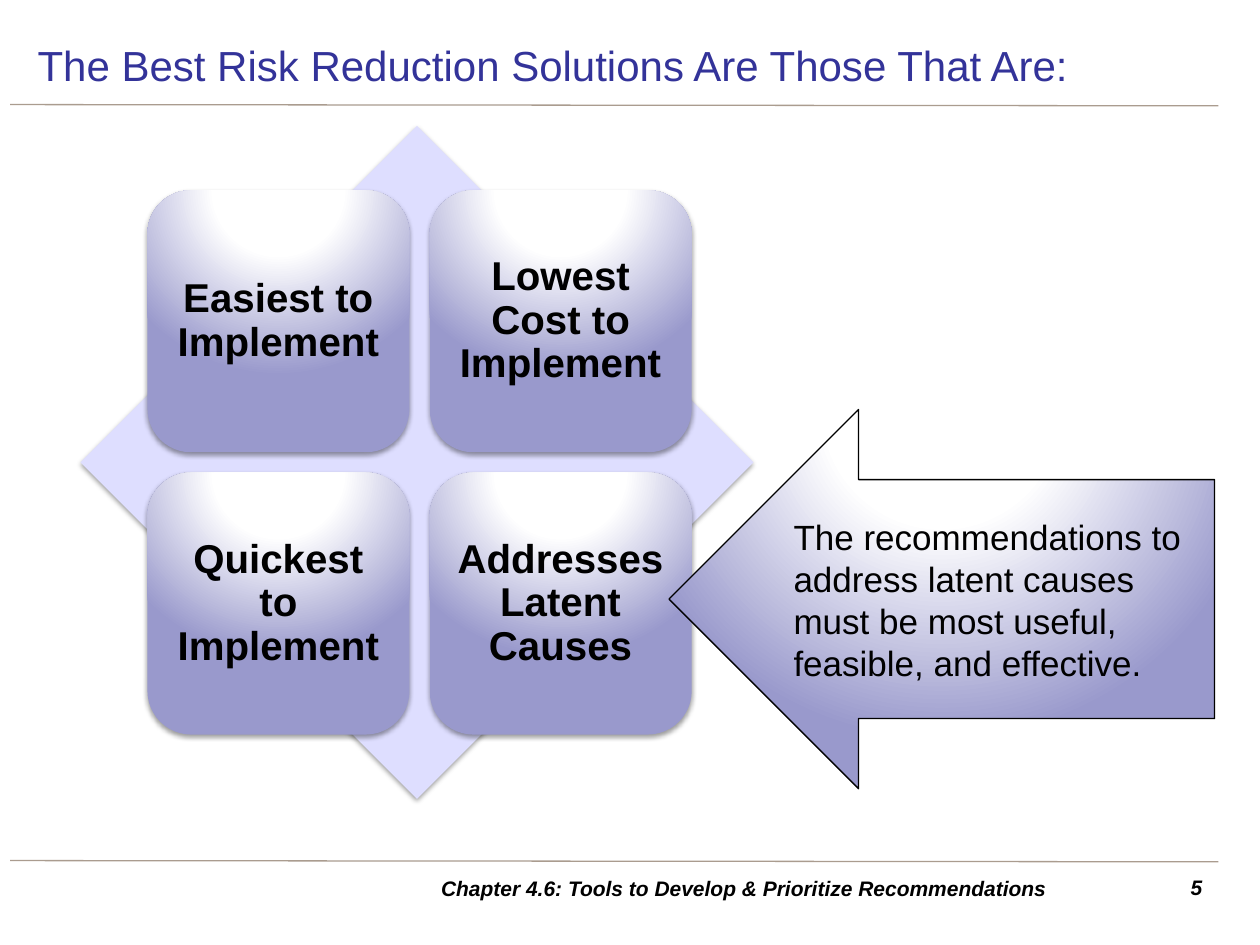
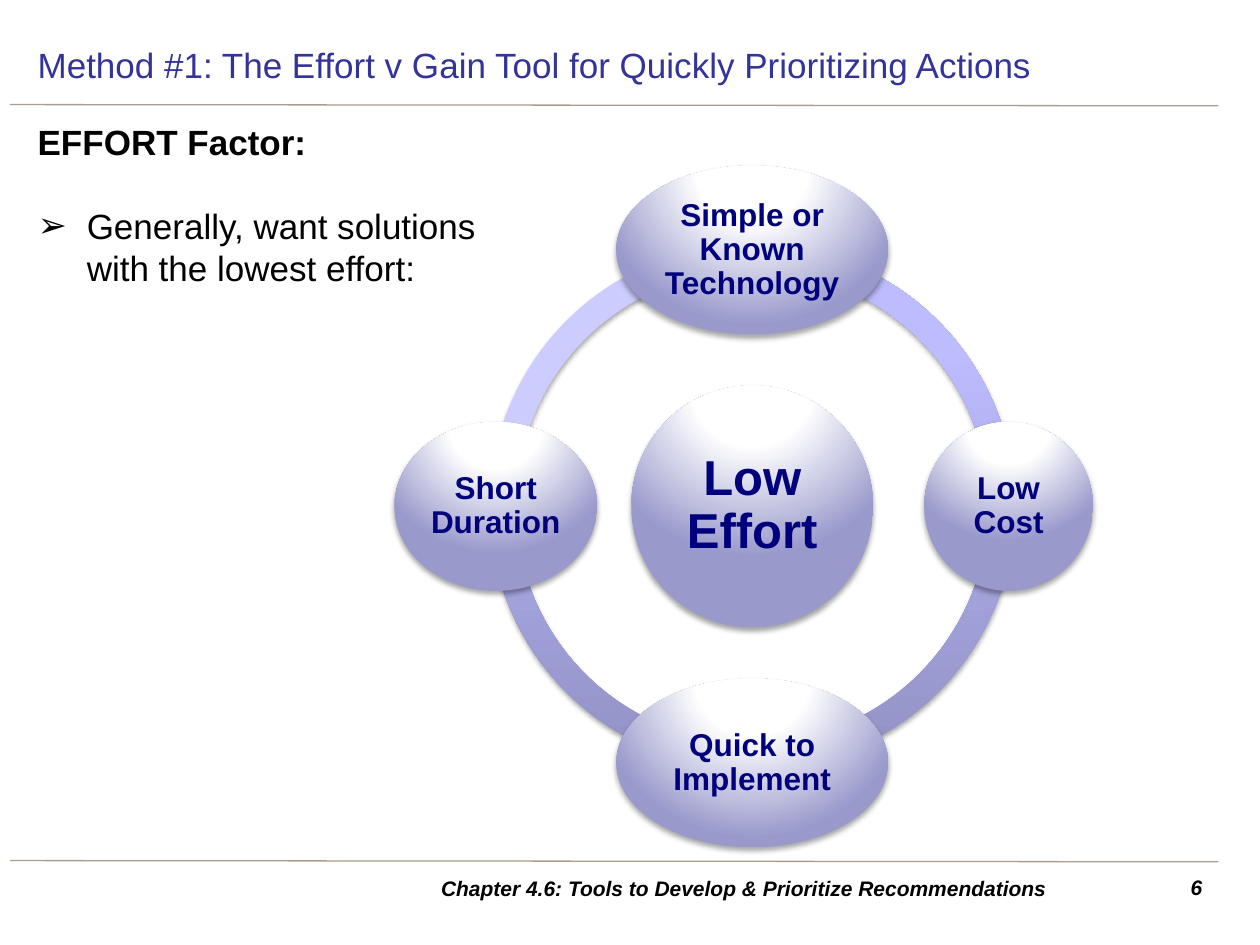
from dataclasses import dataclass
from typing import NamedTuple, Optional

from lxml.etree import SubElement
from pptx import Presentation
from pptx.dml.color import RGBColor
from pptx.enum.shapes import MSO_CONNECTOR, MSO_SHAPE
from pptx.enum.text import MSO_ANCHOR, PP_ALIGN
from pptx.oxml.ns import qn
from pptx.shapes.autoshape import Shape
from pptx.slide import Slide
from pptx.text.text import TextFrame
from pptx.util import Inches, Pt

FONT = "Arial"
BLACK = RGBColor(0x00, 0x00, 0x00)
WHITE = RGBColor(0xFF, 0xFF, 0xFF)
TITLE_BLUE = RGBColor(0x33, 0x33, 0x99)
NAVY = RGBColor(0x00, 0x00, 0x7D)
RULE_TAUPE = RGBColor(0xAA, 0x9C, 0x8F)
LAVENDER = RGBColor(0x99, 0x99, 0xCC)
DIAMOND_TINT = RGBColor(0xDE, 0xDE, 0xFF)
RING_TINT = RGBColor(0xCC, 0xCC, 0xFF)
RING_DARK = RGBColor(0x91, 0x91, 0xC4)
RING_MID = RGBColor(0xBC, 0xBC, 0xFF)
RING_LIGHT = RGBColor(0xBE, 0xBE, 0xFF)

FOOTER = "Chapter 4.6: Tools to Develop & Prioritize Recommendations"
GLOSS_STOPS = ((0, WHITE), (35, WHITE), (100, LAVENDER))
RING_STOPS = ((0, RING_DARK), (80, RING_MID), (100, RING_LIGHT))


class Box(NamedTuple):
    """Left, top, width and height in inches."""

    left: float
    top: float
    width: float
    height: float

    def lengths(self) -> list[Inches]:
        """Return the four measures as lengths."""
        return [Inches(measure) for measure in self]


class Shadow(NamedTuple):
    """Opacity in percent and distance in points of a downward shadow."""

    opacity: int
    distance: float


@dataclass(frozen=True)
class TextStyle:
    """Look of a run and its paragraph."""

    size: float
    color: RGBColor = BLACK
    bold: bool = False
    italic: bool = False
    align: PP_ALIGN = PP_ALIGN.LEFT
    spacing: Optional[float] = None


@dataclass(frozen=True)
class Bubble:
    """An ellipse of the effort ring."""

    label: str
    center_x: float
    center_y: float
    width: float
    height: float
    size: float = 18


TILE_SHADOW = Shadow(38, 1.6)
RING_SHADOW = Shadow(35, 1.8)
FOOTER_STYLE = TextStyle(12, bold=True, italic=True, align=PP_ALIGN.CENTER)
NUMBER_STYLE = TextStyle(12, bold=True, italic=True, align=PP_ALIGN.RIGHT)
TILE_STYLE = TextStyle(23, bold=True, align=PP_ALIGN.CENTER, spacing=0.9)

TILE_LABELS = ("Easiest to Implement", "Lowest Cost to Implement",
               "Quickest to Implement", "Addresses Latent Causes")
TILE_SIDE, TILE_PITCH = 2.08, 2.24
RING_X, RING_Y, RING_RADIUS, RING_SIZE = 5.97, 4.02, 2.035, 4.17
QUARTER = 54
BUBBLES = (
    Bubble("Low Effort", RING_X, RING_Y, 1.92, 1.92, 28),
    Bubble("Simple or Known Technology", RING_X, RING_Y - RING_RADIUS, 2.16, 1.34),
    Bubble("Low Cost", RING_X + RING_RADIUS, RING_Y, 1.34, 1.34),
    Bubble("Quick to Implement", RING_X, RING_Y + RING_RADIUS, 2.16, 1.34),
    Bubble("Short Duration", RING_X - RING_RADIUS, RING_Y, 1.61, 1.34),
)


def write(frame: TextFrame, text: str, style: TextStyle, first: bool = True):
    """Write one paragraph, with a line break at each newline, and return it."""
    paragraph = frame.paragraphs[0] if first else frame.add_paragraph()
    paragraph.alignment = style.align
    if style.spacing:
        paragraph.line_spacing = style.spacing
    for index, line in enumerate(text.split("\n")):
        if index:
            paragraph.add_line_break()
        run = paragraph.add_run()
        run.text = line
        run.font.name = FONT
        run.font.size = Pt(style.size)
        run.font.bold = style.bold
        run.font.italic = style.italic
        run.font.color.rgb = style.color
    return paragraph


def set_frame(frame: TextFrame, anchor: MSO_ANCHOR, inset: Optional[float] = None) -> None:
    """Set wrapping, anchor and, if given, an equal inset on all sides."""
    frame.word_wrap = True
    frame.vertical_anchor = anchor
    if inset is not None:
        frame.margin_left = frame.margin_right = Inches(inset)
        frame.margin_top = frame.margin_bottom = Inches(inset)


def add_text(slide: Slide, box: Box, text: str, style: TextStyle,
             anchor: MSO_ANCHOR = MSO_ANCHOR.MIDDLE) -> TextFrame:
    """Add a text box with its first paragraph."""
    frame = slide.shapes.add_textbox(*box.lengths()).text_frame
    set_frame(frame, anchor)
    write(frame, text, style)
    return frame


def set_gradient(shape: Shape, stops: tuple, angle: Optional[int] = None) -> None:
    """Fill with a linear gradient, or with the glossy radial one if no angle is given."""
    shape.fill.background()
    properties = shape.element.spPr
    blank = properties.find(qn("a:noFill"))
    gradient = properties.makeelement(qn("a:gradFill"), {"rotWithShape": "1"})
    properties.replace(blank, gradient)
    stop_list = SubElement(gradient, qn("a:gsLst"))
    for position, color in stops:
        stop = SubElement(stop_list, qn("a:gs"), pos=str(position * 1000))
        SubElement(stop, qn("a:srgbClr"), val=str(color))
    if angle is not None:
        SubElement(gradient, qn("a:lin"), ang=str(angle * 60000), scaled="0")
    else:
        radial = SubElement(gradient, qn("a:path"), path="circle")
        SubElement(radial, qn("a:fillToRect"), l="50000", t="-80000", r="50000", b="180000")


def add_figure(slide: Slide, kind: MSO_SHAPE, box: Box, color: Optional[RGBColor] = None,
               shadow: Optional[Shadow] = None) -> Shape:
    """Add an unlined preset shape, glossy unless a plain colour is given."""
    shape = slide.shapes.add_shape(kind, *box.lengths())
    shape.line.fill.background()
    shape.shadow.inherit = False
    if color is not None:
        shape.fill.solid()
        shape.fill.fore_color.rgb = color
    else:
        set_gradient(shape, GLOSS_STOPS)
    if shadow:
        effects = shape.element.spPr.find(qn("a:effectLst"))
        outer = SubElement(effects, qn("a:outerShdw"), blurRad=str(Pt(3.1)),
                           dist=str(Pt(shadow.distance)), dir="5400000", rotWithShape="0")
        shade = SubElement(outer, qn("a:srgbClr"), val=str(BLACK))
        SubElement(shade, qn("a:alpha"), val=str(shadow.opacity * 1000))
    return shape


def label_figure(shape: Shape, text: str, style: TextStyle, inset: float) -> None:
    """Write a vertically centred label into a shape."""
    set_frame(shape.text_frame, MSO_ANCHOR.MIDDLE, inset)
    write(shape.text_frame, text, style)


def add_rule(slide: Slide, top: float) -> None:
    """Draw a thin rule across the slide."""
    rule = slide.shapes.add_connector(MSO_CONNECTOR.STRAIGHT, Inches(0.08), Inches(top),
                                      Inches(9.67), Inches(top + 0.01))
    rule.line.color.rgb = RULE_TAUPE
    rule.line.width = Pt(0.75)
    SubElement(rule.element.spPr, qn("a:effectLst"))


def add_page(deck, title: str, title_size: float, number: int) -> Slide:
    """Add a slide with rules, title and footer."""
    slide = deck.slides.add_slide(deck.slide_layouts[6])
    for top in (0.83, 6.83):
        add_rule(slide, top)
    add_text(slide, Box(0.2, 0.24, 9.45, 0.55), title, TextStyle(title_size, TITLE_BLUE))
    add_text(slide, Box(9.06, 6.89, 0.58, 0.31), str(number), NUMBER_STYLE, MSO_ANCHOR.TOP)
    add_text(slide, Box(2.95, 6.89, 5.91, 0.31), FOOTER, FOOTER_STYLE)
    return slide


def build_solutions(deck) -> None:
    """Build the slide on the best risk reduction solutions."""
    slide = add_page(deck, "The Best Risk Reduction Solutions Are Those That Are:", 24, 5)
    add_figure(slide, MSO_SHAPE.DIAMOND, Box(0.64, 1, 5.34, 5.34), DIAMOND_TINT, TILE_SHADOW)
    for index, label in enumerate(TILE_LABELS):
        row, column = divmod(index, 2)
        box = Box(1.17 + column * TILE_PITCH, 1.51 + row * TILE_PITCH, TILE_SIDE, TILE_SIDE)
        tile = add_figure(slide, MSO_SHAPE.ROUNDED_RECTANGLE, box, shadow=TILE_SHADOW)
        label_figure(tile, label, TILE_STYLE, 0.1)
    callout = add_figure(slide, MSO_SHAPE.LEFT_ARROW, Box(5.31, 3.25, 4.33, 3.01))
    callout.adjustments[0] = 0.63
    callout.adjustments[1] = 0.5
    callout.line.color.rgb = BLACK
    callout.line.width = Pt(0.75)
    label_figure(callout, "The recommendations to address latent causes must be most useful, "
                 "feasible, and effective.", TextStyle(20), 0.04)


def build_effort(deck) -> None:
    """Build the slide on the effort factor."""
    slide = add_page(
        deck, "Method #1: The Effort v Gain Tool for Quickly Prioritizing Actions", 20, 6)
    body = add_text(slide, Box(0.2, 0.91, 9.45, 5.83), "EFFORT Factor:",
                    TextStyle(20, bold=True), MSO_ANCHOR.TOP)
    advice = write(body, "Generally, want solutions\nwith the lowest effort:",
                   TextStyle(20), first=False)
    advice.space_before = Pt(24)
    properties = advice._p.get_or_add_pPr()
    properties.set("marL", str(Inches(0.39)))
    properties.set("indent", str(Inches(-0.39)))
    SubElement(properties, qn("a:buFont"), typeface=FONT)
    SubElement(properties, qn("a:buChar"), char="➢")

    ring = Box(RING_X - RING_SIZE / 2, RING_Y - RING_SIZE / 2, RING_SIZE, RING_SIZE)
    for quarter in (2, 1, 0, 3):
        arc = add_figure(slide, MSO_SHAPE.BLOCK_ARC, ring, RING_TINT, RING_SHADOW)
        arc.adjustments[0] = quarter * QUARTER
        arc.adjustments[1] = (quarter + 1) % 4 * QUARTER
        arc.adjustments[2] = 0.05
        if quarter != 2:
            set_gradient(arc, RING_STOPS, 270)
    for bubble in BUBBLES:
        box = Box(bubble.center_x - bubble.width / 2, bubble.center_y - bubble.height / 2,
                  bubble.width, bubble.height)
        ellipse = add_figure(slide, MSO_SHAPE.OVAL, box, shadow=RING_SHADOW)
        style = TextStyle(bubble.size, NAVY, bold=True, align=PP_ALIGN.CENTER, spacing=0.9)
        label_figure(ellipse, bubble.label, style, 0.02)


def main() -> None:
    """Build and save the deck."""
    deck = Presentation()
    deck.slide_width = Inches(10)
    deck.slide_height = Inches(7.5)
    build_solutions(deck)
    build_effort(deck)
    deck.save("out.pptx")


if __name__ == "__main__":
    main()
